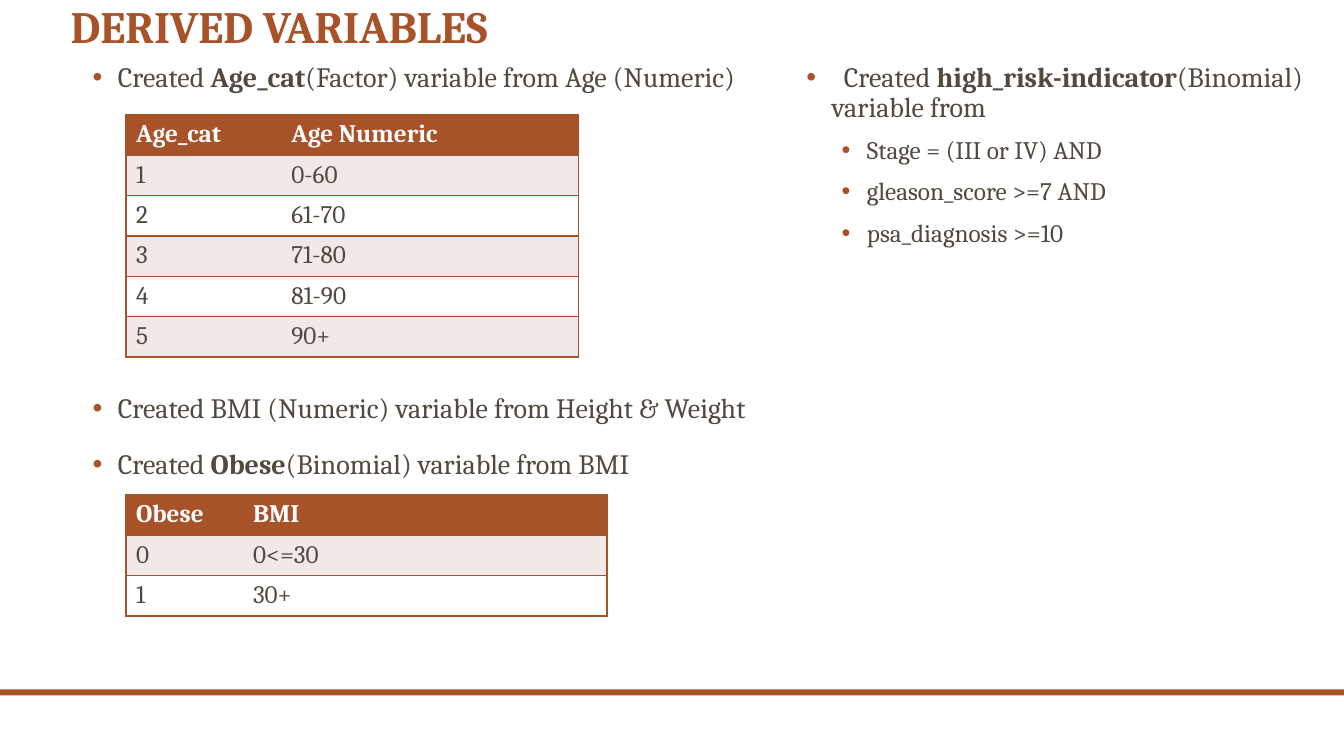
from lxml import etree
from pptx import Presentation
from pptx.dml.color import RGBColor
from pptx.enum.shapes import MSO_SHAPE
from pptx.enum.text import MSO_ANCHOR, PP_ALIGN
from pptx.oxml.ns import qn
from pptx.util import Inches, Pt

RECTANGLE = MSO_SHAPE.RECTANGLE
BOTTOM = MSO_ANCHOR.BOTTOM
LEFT = PP_ALIGN.LEFT

FONT = "Cambria"
COLORS = {"rust": "A85229", "text": "514A40", "band": "F1E9E8", "white": "FFFFFF"}

TITLE = "DERIVED VARIABLES"
# Each bullet: level, space before in points, spans of (text, bold)
VARIABLES = [
    (0, 0, [("Created ", False), ("Age_cat", True),
            ("(Factor) variable from Age (Numeric)", False)]),
    (0, 215, [("Created BMI (Numeric) variable from Height & Weight", False)]),
    (0, 18, [("Created ", False), ("Obese", True),
             ("(Binomial) variable from BMI", False)]),
]
RISK_RULES = [
    (0, 0, [("\tCreated ", False), ("high_risk-indicator", True),
            ("(Binomial) variable from", False)]),
    (1, 10, [("Stage = (III or IV) AND", False)]),
    (1, 10, [("gleason_score >=7 AND", False)]),
    (1, 10, [("psa_diagnosis >=10", False)]),
]
AGE_ROWS = [("Age_cat", "Age Numeric"), ("1", "0-60"), ("2", "61-70"),
            ("3", "71-80"), ("4", "81-90"), ("5", "90+")]
OBESE_ROWS = [("Obese", "BMI"), ("0", "0<=30"), ("1", "30+")]

LEVEL_INDENT = (0.3, 0.65)
LEVEL_SIZE = (20, 18)
HANGING = 0.25
FIRST_TAB = 0.42
TABLE_LEFT = 1.25
ROW_HEIGHT = 0.4


def color(name):
    return RGBColor.from_string(COLORS[name])


def style(font, size, color_name, bold):
    font.name = FONT
    font.size = Pt(size)
    font.bold = bold
    font.color.rgb = color(color_name)


def add_bullet(para, level):
    props = para._p.get_or_add_pPr()
    props.set("marL", str(Inches(LEVEL_INDENT[level])))
    props.set("indent", str(-Inches(HANGING)))
    bullet_color = etree.SubElement(props, qn("a:buClr"))
    etree.SubElement(bullet_color, qn("a:srgbClr"), val=COLORS["rust"])
    etree.SubElement(props, qn("a:buFont"), typeface="Arial")
    etree.SubElement(props, qn("a:buChar"), char="•")
    if para.text.startswith("\t"):
        tabs = etree.SubElement(props, qn("a:tabLst"))
        etree.SubElement(tabs, qn("a:tab"), pos=str(Inches(FIRST_TAB)), algn="l")


def add_bullet_box(slide, bullets, left, top, width, height):
    box = slide.shapes.add_textbox(Inches(left), Inches(top), Inches(width), Inches(height))
    frame = box.text_frame
    frame.word_wrap = True
    for index, (level, space, spans) in enumerate(bullets):
        para = frame.add_paragraph() if index else frame.paragraphs[0]
        for text, bold in spans:
            span = para.add_run()
            span.text = text
            style(span.font, LEVEL_SIZE[level], "text", bold)
        add_bullet(para, level)
        para.level = level
        para.line_spacing = 0.9
        if space:
            para.space_before = Pt(space)


def add_borders(cell, hidden_side):
    """Draw every side of the cell except the one between the two columns."""
    props = cell._tc.get_or_add_tcPr()
    for side in ("lnL", "lnR", "lnT", "lnB"):
        line = etree.SubElement(props, qn(f"a:{side}"), w=str(Pt(1)))
        if side == hidden_side:
            etree.SubElement(line, qn("a:noFill"))
        else:
            fill = etree.SubElement(line, qn("a:solidFill"))
            etree.SubElement(fill, qn("a:srgbClr"), val=COLORS["rust"])


def add_category_table(slide, rows, top, widths):
    table = slide.shapes.add_table(
        len(rows), len(widths), Inches(TABLE_LEFT), Inches(top),
        Inches(sum(widths)), Inches(ROW_HEIGHT * len(rows))).table
    for column, width in zip(table.columns, widths):
        column.width = Inches(width)
    for row_index, row in enumerate(rows):
        header = row_index == 0
        fill_name = "rust" if header else "band" if row_index % 2 else "white"
        for column_index, text in enumerate(row):
            cell = table.cell(row_index, column_index)
            add_borders(cell, "lnL" if column_index else "lnR")
            cell.fill.solid()
            cell.fill.fore_color.rgb = color(fill_name)
            para = cell.text_frame.paragraphs[0]
            para.text = text
            style(para.runs[0].font, 18, "white" if header else "text", header)


def add_title(slide):
    title = slide.shapes.title
    title.left, title.top = Inches(0.55), Inches(0)
    title.width, title.height = Inches(10.5), Inches(0.58)
    title.text_frame.text = TITLE
    title.text_frame.vertical_anchor = BOTTOM
    para = title.text_frame.paragraphs[0]
    para._p.get_or_add_pPr().set("marL", str(Inches(0.05)))
    para.alignment = LEFT
    para.line_spacing = 0.9
    style(para.runs[0].font, 32, "rust", True)


def main():
    deck = Presentation()
    deck.slide_width, deck.slide_height = Inches(13.33), Inches(7.5)
    slide = deck.slides.add_slide(deck.slide_layouts[5])

    bar = slide.shapes.add_shape(
        RECTANGLE, Inches(0), Inches(6.84), deck.slide_width, Inches(0.06))
    bar.shadow.inherit = False
    bar.fill.solid()
    bar.fill.fore_color.rgb = color("rust")
    bar.line.fill.background()

    add_title(slide)
    add_bullet_box(slide, VARIABLES, 0.77, 0.58, 12.27, 6.16)
    add_category_table(slide, AGE_ROWS, 1.14, (1.54, 2.95))
    add_category_table(slide, OBESE_ROWS, 4.91, (1.16, 3.61))
    add_bullet_box(slide, RISK_RULES, 7.85, 0.58, 5.49, 1.98)
    deck.save("out.pptx")


if __name__ == "__main__":
    main()
